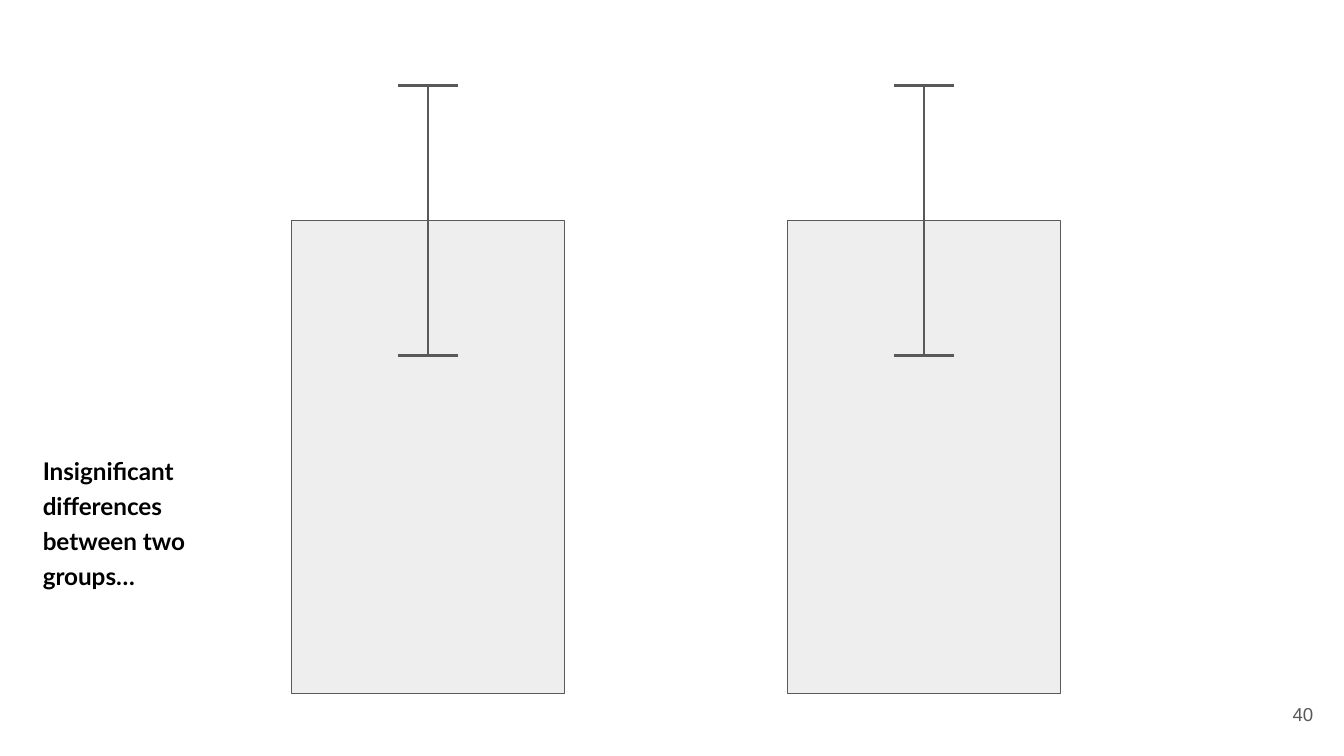
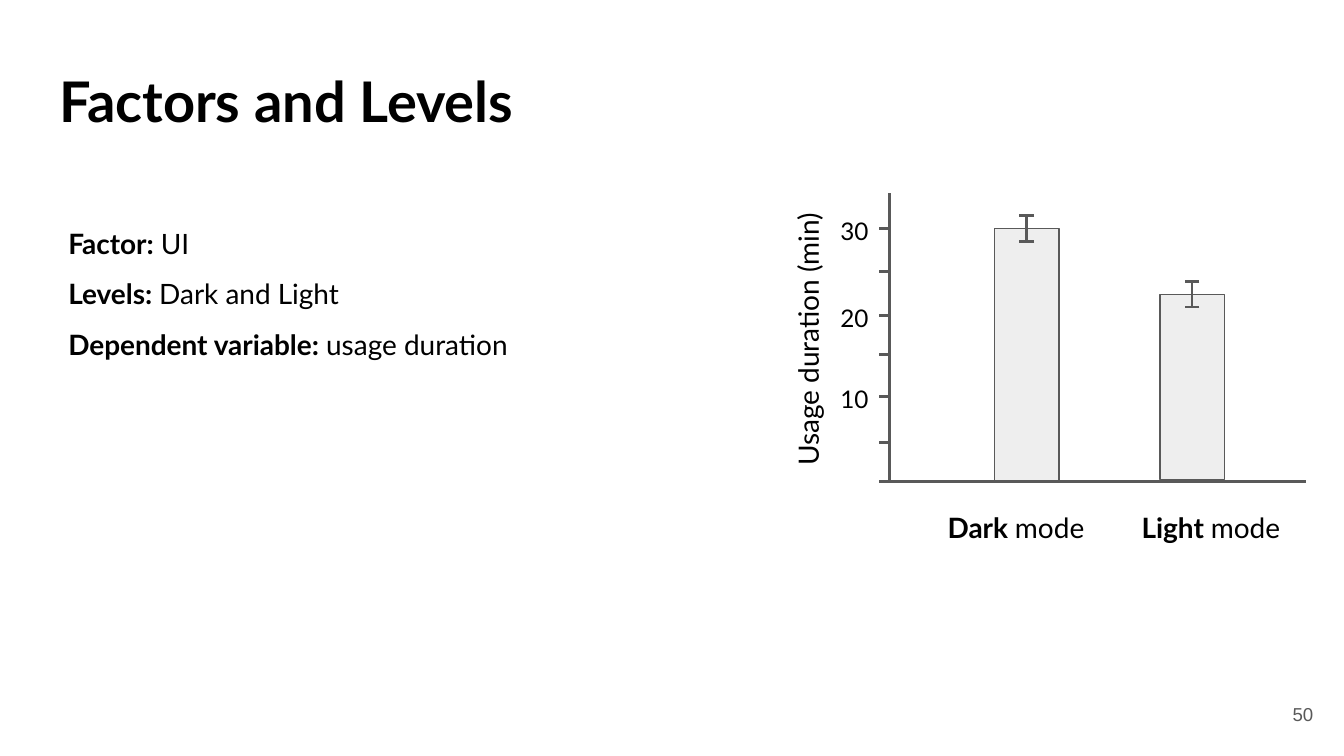
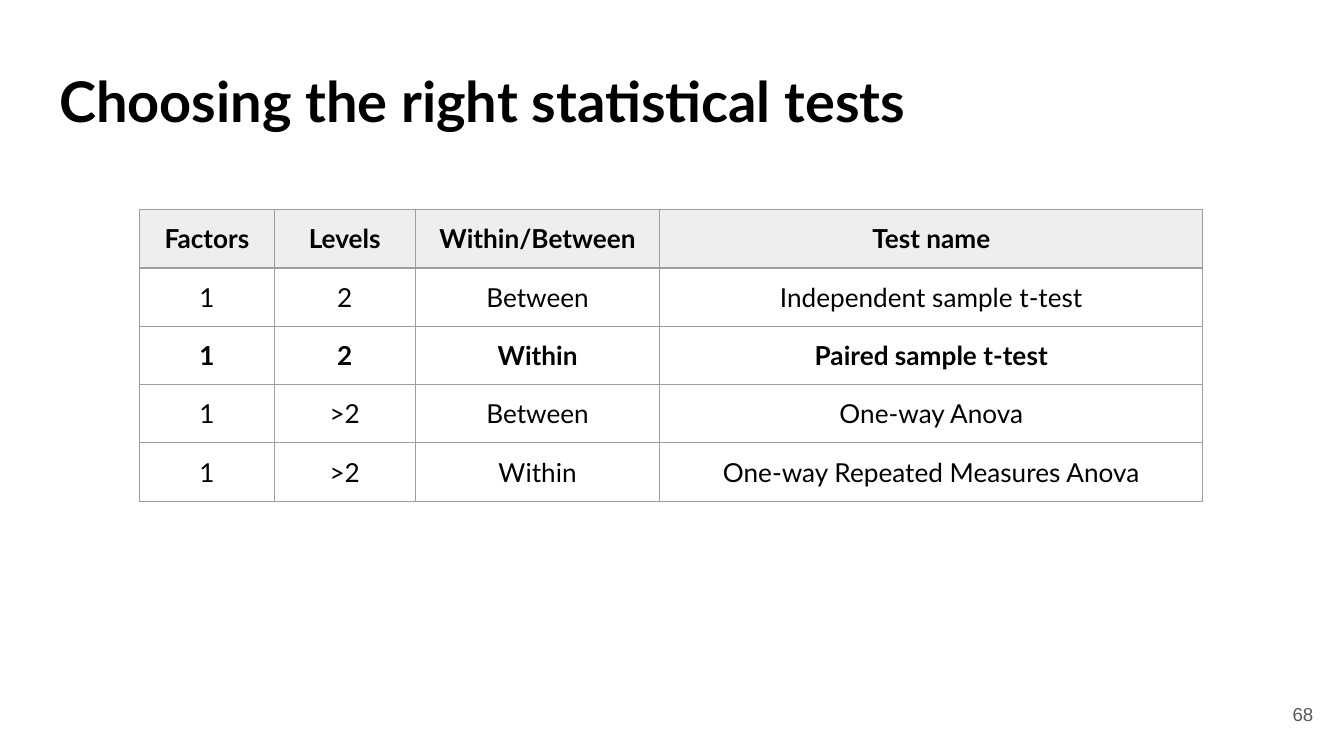
from lxml import etree
from pptx import Presentation
from pptx.dml.color import RGBColor
from pptx.enum.shapes import MSO_CONNECTOR, MSO_SHAPE
from pptx.enum.text import MSO_ANCHOR, MSO_AUTO_SIZE, PP_ALIGN
from pptx.oxml.ns import qn
from pptx.util import Inches, Pt

LEFT, CENTER, RIGHT = PP_ALIGN.LEFT, PP_ALIGN.CENTER, PP_ALIGN.RIGHT
TOP, MIDDLE, BOTTOM = MSO_ANCHOR.TOP, MSO_ANCHOR.MIDDLE, MSO_ANCHOR.BOTTOM
NONE, RECT, STRAIGHT = MSO_AUTO_SIZE.NONE, MSO_SHAPE.RECTANGLE, MSO_CONNECTOR.STRAIGHT

HUES = {"text": "000000", "line": "595959", "fill": "EEEEEE", "grid": "9E9E9E"}
PAD = 0.1
TITLE = (0.34, 0.49, 9.32, 0.63)
NUMBER = (9.27, 5.1, 0.6, 0.43)

GROUPS = {
    "note": "Insignificant differences between two groups…",
    "bars": [(2.17, 1.64, 2.03, 3.52), (5.86, 1.64, 2.03, 3.52)],
    "span": 2.01, "cap": 0.44, "page": "40",
}
FACTORS = {
    "title": "Factors and Levels",
    "facts": [("Factor: ", "UI"), ("Levels: ", "Dark and Light"),
              ("Dependent variable: ", "usage duration")],
    "bars": [(7.4, 1.7, 0.48, 1.88), (8.63, 2.19, 0.48, 1.38)],
    "span": 0.19, "cap": 0.11,
    "axis": {"left": 6.62, "top": 1.44, "right": 9.72, "base": 3.58, "tick": 0.08},
    "ticks": [1.7, 2.02, 2.35, 2.64, 2.95, 3.29, 3.58],
    "marks": ["30", "20", "10"],
    "modes": [("Dark ", 6.86), ("Light ", 8.31)],
    "unit": "Usage duration (min)", "page": "50",
}
TESTS = {
    "title": "Choosing the right statistical tests",
    "rows": [("Factors", "Levels", "Within/Between", "Test name"),
             ("1", "2", "Between", "Independent sample t-test"),
             ("1", "2", "Within", "Paired sample t-test"),
             ("1", ">2", "Between", "One-way Anova"),
             ("1", ">2", "Within", "One-way Repeated Measures Anova")],
    "cols": [1, 1.05, 1.82, 4.04], "high": 0.42, "bold": (0, 2), "page": "68",
}


def tint(name):
    return RGBColor.from_string(HUES[name])


def inches(*vals):
    return [Inches(v) for v in vals]


def write(frame, paras, size, align=LEFT, anchor=TOP, gap=1.0, after=0,
          font="Lato", hue="text"):
    style = {"word_wrap": True, "auto_size": NONE, "vertical_anchor": anchor}
    style.update({f"margin_{side}": Inches(PAD)
                  for side in ("left", "right", "top", "bottom")})
    for key, val in style.items():
        setattr(frame, key, val)
    for i, runs in enumerate(paras):
        para = frame.add_paragraph() if i else frame.paragraphs[0]
        look = {"alignment": align, "line_spacing": gap,
                "space_before": Pt(0), "space_after": Pt(after)}
        for key, val in look.items():
            setattr(para, key, val)
        for text, bold in runs:
            add_run(para, text, size, bold, font, hue)


def add_run(para, text, size, bold, font="Lato", hue="text"):
    run = para.add_run()
    run.text = text
    for key, val in {"name": font, "size": Pt(size), "bold": bold}.items():
        setattr(run.font, key, val)
    run.font.color.rgb = tint(hue)


def label(slide, place, paras, size, **look):
    box = slide.shapes.add_textbox(*inches(*place))
    write(box.text_frame, paras, size, **look)
    return box


def rule(shapes, x1, y1, x2, y2):
    line = shapes.add_connector(STRAIGHT, *inches(x1, y1, x2, y2))
    line.line.color.rgb = tint("line")
    line.line.width = Pt(1.5)
    etree.SubElement(line._element.spPr, qn("a:effectLst"))


def draw_bars(slide, data):
    for x, y, wide, high in data["bars"]:
        bar = slide.shapes.add_shape(RECT, *inches(x, y, wide, high))
        bar.shadow.inherit = False
        bar.fill.solid()
        bar.fill.fore_color.rgb = tint("fill")
        bar.line.color.rgb = tint("line")
        bar.line.width = Pt(0.75)
        mid, reach, half = x + wide / 2, data["span"] / 2, data["cap"] / 2
        error = slide.shapes.add_group_shape().shapes
        rule(error, mid, y - reach, mid, y + reach)
        for end in (y - reach, y + reach):
            rule(error, mid + half, end, mid - half, end)


def new_slide(deck, data):
    titled = "title" in data
    slide = deck.slides.add_slide(deck.slide_layouts[5 if titled else 6])
    if titled:
        head = slide.shapes.title
        head.left, head.top, head.width, head.height = inches(*TITLE)
        write(head.text_frame, [[(data["title"], True)]], 30, gap=0.8)
    label(slide, NUMBER, [[(data["page"], False)]], 10, align=RIGHT,
          anchor=MIDDLE, font="Arial", hue="line")
    return slide


def draw_groups(deck):
    slide = new_slide(deck, GROUPS)
    draw_bars(slide, GROUPS)
    label(slide, (0.22, 4.02, 1.73, 0.47), [[(GROUPS["note"], True)]], 13,
          anchor=BOTTOM, gap=1.2, after=10)


def draw_factors(deck):
    slide = new_slide(deck, FACTORS)
    facts = [[(name, True), (text, False)] for name, text in FACTORS["facts"]]
    label(slide, (0.41, 1.46, 5.97, 1.97), facts, 15, gap=1.5)
    axis, ticks = FACTORS["axis"], FACTORS["ticks"]
    left, base = axis["left"], axis["base"]
    rule(slide.shapes, left, axis["top"], left, base)
    rule(slide.shapes, left, base, axis["right"], base)
    for y in ticks:
        rule(slide.shapes, left, y, left - axis["tick"], y)
    draw_bars(slide, FACTORS)
    for mark, y in zip(FACTORS["marks"], ticks[::2]):
        label(slide, (5.99, y - 0.2, 0.57, 0.39), [[(mark, False)]], 13,
              align=RIGHT, anchor=MIDDLE, gap=1.2, after=10)
    for mode, x in FACTORS["modes"]:
        label(slide, (x, 3.65, 1.4, 0.45), [[(mode, True), ("mode", False)]], 15,
              align=CENTER, gap=1.2, after=10)
    unit = label(slide, (4.87, 2.3, 2.18, 0.45), [[(FACTORS["unit"], False)]], 15,
                 align=CENTER, gap=1.2, after=10)
    unit.rotation = 270


def edge(cell):
    props = cell._tc.get_or_add_tcPr()
    for side in ("lnL", "lnR", "lnT", "lnB"):
        line = etree.SubElement(props, qn(f"a:{side}"), w=str(Pt(0.75)))
        fill = etree.SubElement(line, qn("a:solidFill"))
        etree.SubElement(fill, qn("a:srgbClr"), val=HUES["grid"])


def draw_tests(deck):
    slide = new_slide(deck, TESTS)
    rows, cols, high = TESTS["rows"], TESTS["cols"], TESTS["high"]
    place = inches(1.04, 1.56, sum(cols), high * len(rows))
    table = slide.shapes.add_table(len(rows), len(cols), *place).table
    table.first_row = table.horz_banding = False
    for col, wide in zip(table.columns, cols):
        col.width = Inches(wide)
    for r, row in enumerate(rows):
        table.rows[r].height = Inches(high)
        for c, text in enumerate(row):
            cell = table.cell(r, c)
            for side in ("left", "right", "top", "bottom"):
                setattr(cell, f"margin_{side}", Inches(PAD))
            edge(cell)
            if r:
                cell.fill.background()
            else:
                cell.fill.solid()
                cell.fill.fore_color.rgb = tint("fill")
            para = cell.text_frame.paragraphs[0]
            para.alignment = CENTER
            add_run(para, text, 14, r in TESTS["bold"])


def main():
    deck = Presentation()
    deck.slide_width = Inches(10)
    deck.slide_height = deck.slide_width * 9 // 16
    for draw in (draw_groups, draw_factors, draw_tests):
        draw(deck)
    deck.save("out.pptx")


if __name__ == "__main__":
    main()
